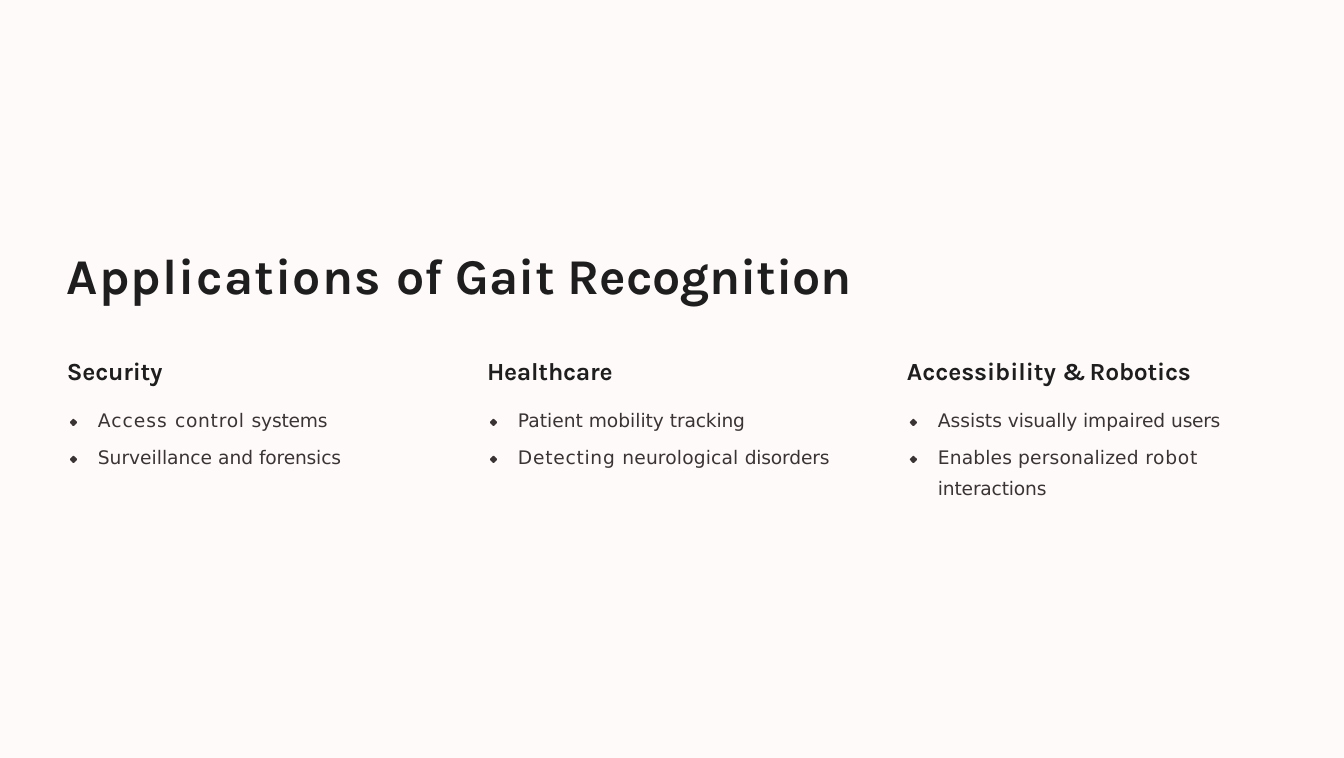
from pptx import Presentation
from pptx.dml.color import RGBColor as RGB
from pptx.enum.text import MSO_AUTO_SIZE as AutoSize
from pptx.util import Emu, Pt

SCALE = 914400 / 107.5
COLORS = {"paper": "FFFAFA", "heading": "1F1E1E", "body": "3B3434"}
HEADING_FONT = {"name": "Karla", "bold": True}
BODY_FONT = {"name": "DejaVu Sans", "bold": False, "size": Pt(12.5)}
STYLES = {
    "title": ("heading", {**HEADING_FONT, "size": Pt(33.5)}, {"space_before": Pt(1.2)}, 1),
    "header": ("heading", {**HEADING_FONT, "size": Pt(16.5)}, {"space_before": Pt(1.4)}, 1),
    "first": ("body", BODY_FONT, {"space_before": Pt(15.7)}, 32),
    "next": ("body", BODY_FONT, {"space_before": Pt(3.8), "line_spacing": 1.4}, 32),
}
TITLE = [("Applications ", 80), ("of Gait ", 0), ("Recognition", -10)]
APPLICATIONS = [
    ((285, 116), [("Security", -10)], [
        [("Access ", 70), ("control ", 50), ("systems", -10)],
        [("Surveillance and ", 0), ("forensics", -10)]]),
    ((352, 116), [("Healthcare", -10)], [
        [("Patient mobility ", 0), ("tracking", -10)],
        [("Detecting ", 50), ("neurological ", 10), ("disorders", -10)]]),
    ((323, 147), [("Accessibility ", 0), ("& ", -160), ("Robotics", -10)], [
        [("Assists ", 0), ("visually ", -10), ("impaired ", 0), ("users", -20)],
        [("Enables personalized ", 10), ("robot ", 50), ("interactions", -10)]]),
]
DOT = [(3, 0), (4, 0), (7, 3), (7, 4), (4, 7), (3, 7), (0, 4), (0, 3)]


def px(length):
    return Emu(round(length * SCALE))


def apply_format(target, values):
    for key, value in values.items():
        setattr(target, key, value)


def add_text(slide, box, lines):
    frame = slide.shapes.add_textbox(*map(px, box)).text_frame
    apply_format(frame, {"word_wrap": True, "auto_size": AutoSize.SHAPE_TO_FIT_TEXT,
                         "margin_left": 0, "margin_right": 0,
                         "margin_top": px(2), "margin_bottom": 0})
    for index, (style, phrases) in enumerate(lines):
        color, font, spacing, indent = STYLES[style]
        line = frame.add_paragraph() if index else frame.paragraphs[0]
        apply_format(line, spacing)
        margins = line._p.get_or_add_pPr()
        margins.set("marL", str(px(indent)))
        margins.set("indent", "0")
        for words, tracking in phrases:
            phrase = line.add_run()
            phrase.text = words
            apply_format(phrase.font, font)
            phrase.font.color.rgb = RGB.from_string(COLORS[color])
            phrase.font._element.set("spc", str(tracking))


def add_dot(slide, left, top):
    start, *rest = [(left + x, top + y) for x, y in DOT]
    outline = slide.shapes.build_freeform(*start, scale=SCALE)
    outline.add_line_segments(rest, close=True)
    dot = outline.convert_to_shape()
    dot.shadow.inherit = False
    dot.fill.solid()
    dot.fill.fore_color.rgb = RGB.from_string(COLORS["body"])
    dot.line.fill.background()


def add_application(slide, box, header, uses):
    left, top, _, _ = box
    for row in range(len(uses)):
        add_dot(slide, left + 4, top + 65 + 37 * row)
    add_text(slide, box, [("header", header), *zip(("first", "next"), uses)])


def add_applications_slide(deck):
    slide = deck.slides.add_slide(deck.slide_layouts[6])
    paper = slide.background.fill
    paper.solid()
    paper.fore_color.rgb = RGB.from_string(COLORS["paper"])
    left = 66
    add_text(slide, (left, 243, 832, 64), [("title", TITLE)])
    for column, (size, header, uses) in enumerate(APPLICATIONS):
        add_application(slide, (left + 420 * column, 354, *size), header, uses)


def main():
    deck = Presentation()
    deck.slide_width, deck.slide_height = px(1344), px(758)
    add_applications_slide(deck)
    deck.save("out.pptx")


if __name__ == "__main__":
    main()
